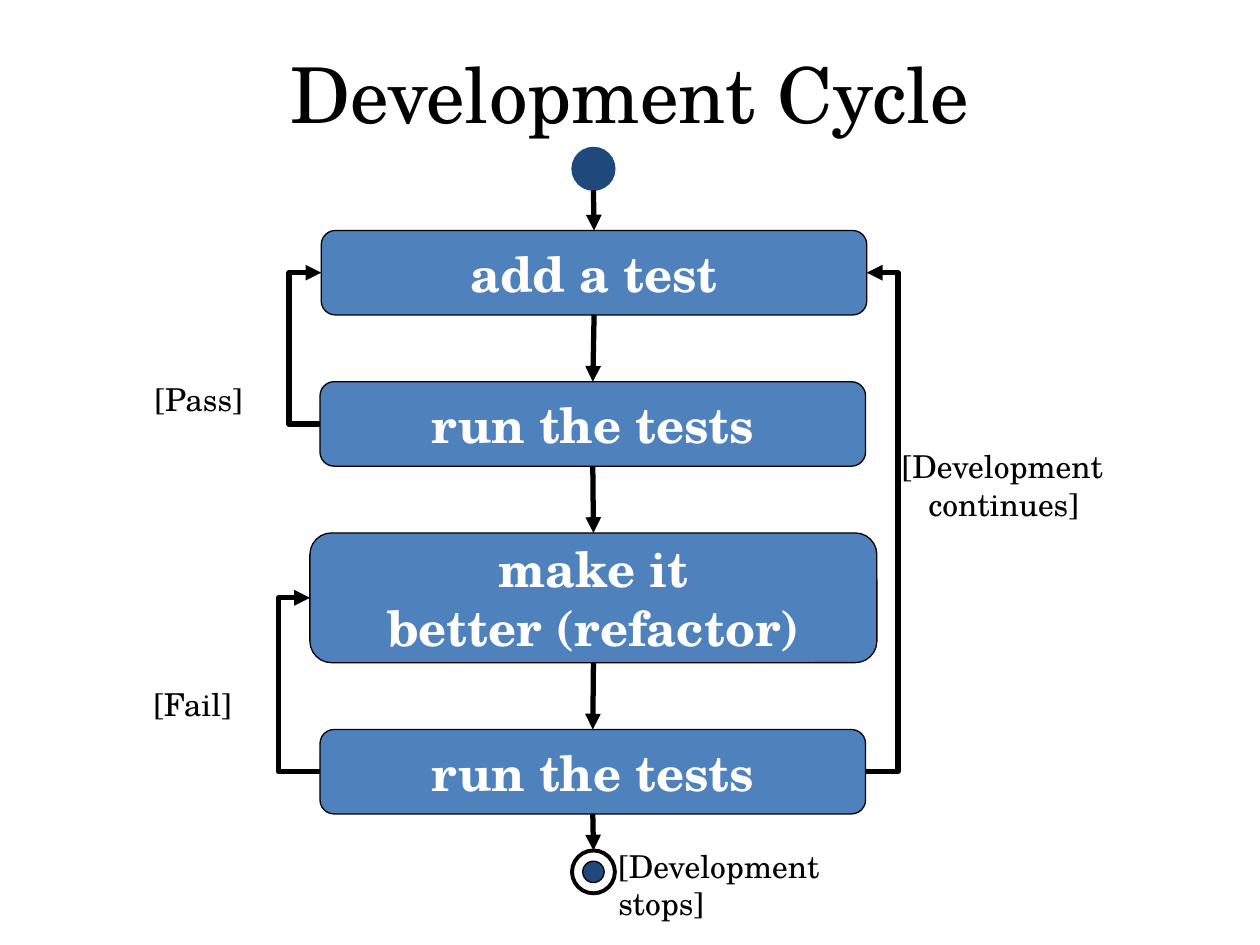
from pptx import Presentation
from pptx.dml.color import RGBColor
from pptx.enum.shapes import MSO_CONNECTOR, MSO_SHAPE
from pptx.enum.text import MSO_ANCHOR, PP_ALIGN
from pptx.util import Inches, Pt
from lxml.etree import SubElement
from pptx.oxml.ns import qn

FONT = "TeX Gyre Schola"
BLACK, WHITE, BLUE, NAVY = "000000", "FFFFFF", "4F81BD", "1F497D"
TOP, LEFT, BOTTOM, RIGHT = range(4)

prs = Presentation()
prs.slide_width, prs.slide_height = Inches(10), Inches(7.5)
slide = prs.slides.add_slide(prs.slide_layouts[6])
shapes = slide.shapes

# The slide is a grid of 100 columns by 75 rows
COL, ROW = prs.slide_width / 100, prs.slide_height / 75


def grid(left, top, width, height):
    return [round(n * step) for n, step in zip((left, top, width, height), (COL, ROW) * 2)]


def write(part, lines, size, color=BLACK, bold=False, align=PP_ALIGN.LEFT, anchor=MSO_ANCHOR.TOP):
    frame = part.text_frame
    frame.word_wrap = True
    frame.vertical_anchor = anchor
    for i, line in enumerate(lines):
        paragraph = frame.add_paragraph() if i else frame.paragraphs[0]
        paragraph.alignment = align
        run = paragraph.add_run()
        run.text = line
        run.font.name, run.font.size, run.font.bold = FONT, Pt(size), bold
        run.font.color.rgb = RGBColor.from_string(color)
    return frame


# Title
title = shapes.add_textbox(*grid(5, 3, 90, 8.7))
write(title, ["Development Cycle"], 44, align=PP_ALIGN.CENTER, anchor=MSO_ANCHOR.MIDDLE)

# Steps of the cycle
steps = []
for place, lines in [
    ((25.5, 18.3, 43.3, 6.7), ["add a test"]),
    ((25.4, 30.3, 43.3, 6.7), ["run the tests"]),
    ((24.6, 42.3, 45, 10.3), ["make it", "better (refactor)"]),
    ((25.4, 57.9, 43.3, 6.7), ["run the tests"]),
]:
    step = shapes.add_shape(MSO_SHAPE.ROUNDED_RECTANGLE, *grid(*place))
    step.shadow.inherit = False
    step.fill.solid()
    step.fill.fore_color.rgb = RGBColor.from_string(BLUE)
    step.line.color.rgb = RGBColor.from_string(BLACK)
    step.line.width = Pt(0.75)
    write(step, lines, 28, WHITE, True, PP_ALIGN.CENTER, MSO_ANCHOR.MIDDLE)
    steps.append(step)
add_test, first_run, refactor, second_run = steps

# Start dot, stop ring and the dot inside it
dots = []
for place, fill, line, weight in [
    ((45.4, 11.7, 3.4, 3.4), NAVY, NAVY, 0.75),
    ((45.4, 67.5, 3.4, 3.4), WHITE, BLACK, 2.25),
    ((46.25, 68.35, 1.7, 1.7), NAVY, BLACK, 0.75),
]:
    dot = shapes.add_shape(MSO_SHAPE.OVAL, *grid(*place))
    dot.shadow.inherit = False
    dot.fill.solid()
    dot.fill.fore_color.rgb = RGBColor.from_string(fill)
    dot.line.color.rgb = RGBColor.from_string(line)
    dot.line.width = Pt(weight)
    dots.append(dot)
start, stop, _ = dots

# Arrows: straight ones go down, loops run back up along a lane (a column)
for source, source_side, target, target_side, lane in [
    (start, BOTTOM, add_test, TOP, None),
    (add_test, BOTTOM, first_run, TOP, None),
    (first_run, BOTTOM, refactor, TOP, None),
    (refactor, BOTTOM, second_run, TOP, None),
    (second_run, BOTTOM, stop, TOP, None),
    (first_run, LEFT, add_test, LEFT, 22.9),
    (second_run, RIGHT, add_test, RIGHT, 71.3),
    (second_run, LEFT, refactor, LEFT, 22.1),
]:
    kind = MSO_CONNECTOR.ELBOW if lane else MSO_CONNECTOR.STRAIGHT
    arrow = shapes.add_connector(
        kind, source.left + source.width // 2, source.top + source.height, target.left, target.top)
    if source is not start:  # an oval's side 2 is not its bottom
        arrow.begin_connect(source, source_side)
    arrow.end_connect(target, target_side)
    arrow.line.color.rgb = RGBColor.from_string(BLACK)
    arrow.line.width = Pt(3)
    properties = arrow._element.spPr
    SubElement(properties.find(qn("a:ln")), qn("a:tailEnd"), type="triangle")
    SubElement(properties, qn("a:effectLst"))
    if lane:
        bend = (lane * COL - arrow.begin_x) / (arrow.end_x - arrow.begin_x)
        guides = properties.find(qn("a:prstGeom")).get_or_add_avLst()
        SubElement(guides, qn("a:gd"), name="adj1", fmla=f"val {round(bend * 100000)}")

# Conditions
for place, lines in [
    ((11.3, 29.7, 9, 4), ["[Pass]"]),
    ((11.2, 53.9, 8.2, 4), ["[Fail]"]),
    ((70.6, 35, 18.5, 7.1), ["[Development", "continues]"]),
    ((48.1, 66.7, 25.3, 4), ["[Development stops]"]),
]:
    condition = write(shapes.add_textbox(*grid(*place)), lines, 18)
    for paragraph in condition.paragraphs[1:]:
        paragraph._p.get_or_add_pPr().set("marL", str(round(2.1 * COL)))

prs.save("out.pptx")
